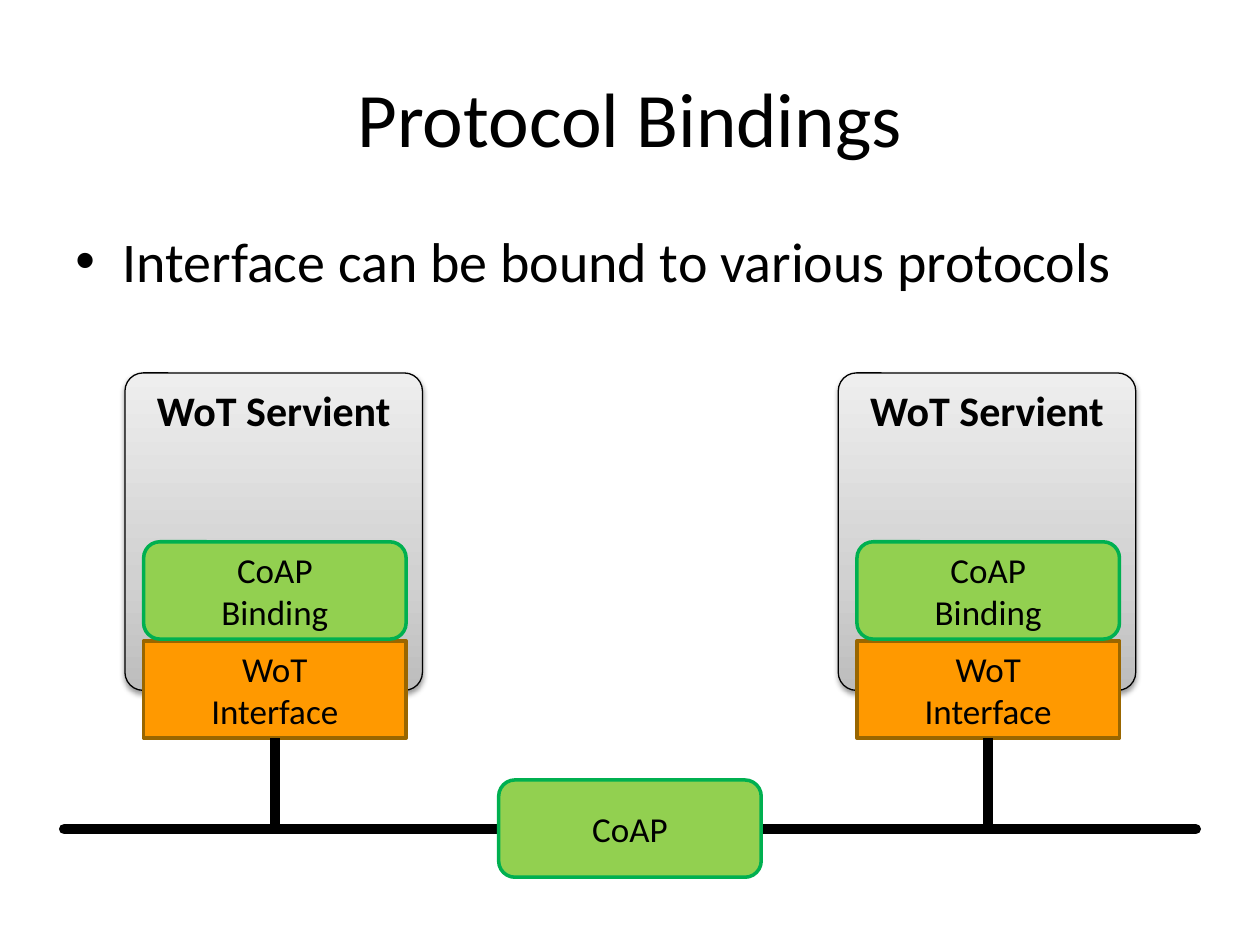
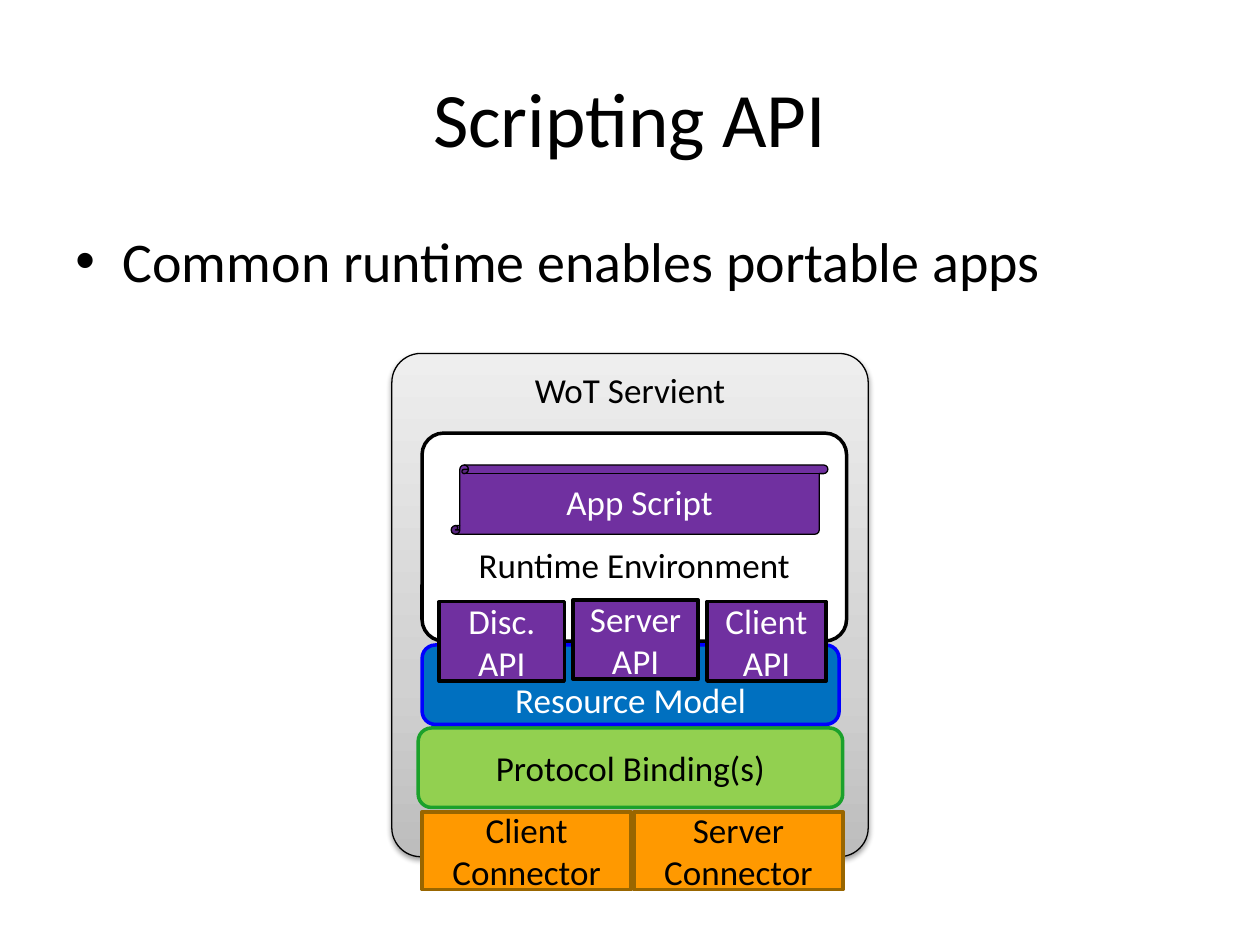
import pptx
import pptx.dml.color
import pptx.enum.shapes
import pptx.enum.text
import pptx.oxml
import pptx.oxml.ns
import pptx.util

Pt = pptx.util.Pt
SHAPE = pptx.enum.shapes.MSO_SHAPE
ANCHOR = pptx.enum.text.MSO_ANCHOR
ALIGN = pptx.enum.text.PP_ALIGN
NAMESPACE = pptx.oxml.ns.nsdecls("a")

FONT = "Calibri"
BLACK, WHITE = "000000", "FFFFFF"
ORANGE, BROWN = "FF9900", "996600"
LIME, GREEN, DARK_GREEN = "92D050", "00B050", "1BA12B"
PURPLE, BLUE, BRIGHT_BLUE = "7030A0", "0070C0", "0000FF"
SERVIENT_STOPS = [(0, "BDBDBD"), (35, "D1D1D1"), (100, "EEEEEE")]


def color(value):
    return pptx.dml.color.RGBColor.from_string(value)


class SlideBuilder:
    """Holds the deck, the current page and the style its elements share."""

    def __init__(self):
        self.deck = pptx.Presentation()
        self.deck.slide_width, self.deck.slide_height = Pt(720), Pt(540)

    def new_page(self, title, bullet):
        self.page = self.deck.slides.add_slide(self.deck.slide_layouts[6])
        self.shapes = self.page.shapes
        title_box = self.shapes.add_textbox(Pt(36), Pt(21.6), Pt(648), Pt(90))
        self.set_text(title_box, title, size=44)
        body_box = self.shapes.add_textbox(Pt(36), Pt(126), Pt(648), Pt(356.4))
        properties = body_box.text_frame.paragraphs[0]._p.get_or_add_pPr()
        properties.set("marL", str(Pt(27)))
        properties.set("indent", str(-Pt(27)))
        for xml in (f'<a:buFont {NAMESPACE} typeface="Arial"/>',
                    f'<a:buChar {NAMESPACE} char="•"/>'):
            properties.append(pptx.oxml.parse_xml(xml))
        self.set_text(body_box, bullet, size=32, anchor=ANCHOR.TOP, align=ALIGN.LEFT)

    def start_group(self):
        self.shapes = self.page.shapes.add_group_shape().shapes

    def set_text(self, box, text, size=20, ink=BLACK, bold=False,
                 anchor=ANCHOR.MIDDLE, align=ALIGN.CENTER, wrap=True):
        frame = box.text_frame
        frame.word_wrap = wrap
        frame.vertical_anchor = anchor
        para = frame.paragraphs[0]
        para.text = text
        para.alignment = align
        for span in para.runs:
            span.font.name = FONT
            span.font.size = Pt(size)
            span.font.bold = bold
            span.font.color.rgb = color(ink)

    def block(self, text, left, top, width, height, fill, line, line_width=2,
              preset=SHAPE.RECTANGLE, rounding=None, bottom_inset=3.6, **text_style):
        box = self.shapes.add_shape(preset, Pt(left), Pt(top), Pt(width), Pt(height))
        box.shadow.inherit = False
        if rounding is not None:
            box.adjustments[0] = rounding
        box.fill.solid()
        box.fill.fore_color.rgb = color(fill)
        box.line.color.rgb = color(line)
        box.line.width = Pt(line_width)
        box.text_frame.margin_bottom = Pt(bottom_inset)
        self.set_text(box, text, **text_style)
        return box

    def rounded(self, *args, **style):
        return self.block(*args, preset=SHAPE.ROUNDED_RECTANGLE, **style)

    def servient(self, left, top, width, height, **text_style):
        """Grey device frame with a gradient that lightens upwards and a soft shadow."""
        box = self.rounded("WoT Servient", left, top, width, height, WHITE, BLACK,
                           line_width=0.75, rounding=0.061, anchor=ANCHOR.TOP,
                           wrap=False, **text_style)
        properties = box._element.spPr
        stops = "".join(f'<a:gs pos="{place * 1000}"><a:srgbClr val="{value}"/></a:gs>'
                        for place, value in SERVIENT_STOPS)
        gradient = pptx.oxml.parse_xml(
            f'<a:gradFill {NAMESPACE} rotWithShape="1"><a:gsLst>{stops}</a:gsLst>'
            '<a:lin ang="16200000" scaled="0"/></a:gradFill>')
        properties.replace(properties.find(pptx.oxml.ns.qn("a:solidFill")), gradient)
        shadow = pptx.oxml.parse_xml(
            f'<a:outerShdw {NAMESPACE} blurRad="{Pt(3.1)}" dist="{Pt(1.6)}" '
            'dir="5400000" rotWithShape="0"><a:srgbClr val="000000">'
            '<a:alpha val="38000"/></a:srgbClr></a:outerShdw>')
        properties.find(pptx.oxml.ns.qn("a:effectLst")).append(shadow)

    def wire(self, start_x, start_y, end_x, end_y, cap="flat"):
        line = self.shapes.add_connector(
            pptx.enum.shapes.MSO_CONNECTOR.STRAIGHT,
            Pt(start_x), Pt(start_y), Pt(end_x), Pt(end_y))
        line.line.color.rgb = color(BLACK)
        line.line.width = Pt(6)
        line.line._get_or_add_ln().set("cap", cap)
        line._element.spPr.append(pptx.oxml.parse_xml(f"<a:effectLst {NAMESPACE}/>"))
        return line


def build_protocol_bindings(slides):
    slides.new_page("Protocol Bindings", "Interface can be bound to various protocols")
    bus_y = 473.8
    part_width, part_height = 150, 55.6
    slides.wire(36.7, bus_y, 683.3, bus_y, cap="rnd")
    slides.rounded("CoAP", 285, 445.7, part_width, part_height, LIME, GREEN)
    for left in (71.4, 479):
        slides.servient(left, 213.1, 170, 181.4, size=24, bold=True)
        part_left = left + 10.7
        interface = slides.block("WoT\vInterface", part_left, 366.2,
                                 part_width, part_height, ORANGE, BROWN)
        slides.rounded("CoAP\vBinding", part_left, 309.6,
                       part_width, part_height, LIME, GREEN)
        middle = part_left + part_width / 2
        drop = slides.wire(middle, bus_y, middle, 421.8)
        drop.end_connect(interface, 2)


def build_scripting_api(slides):
    slides.new_page("Scripting API", "Common runtime enables portable apps")
    slides.start_group()
    slides.servient(223.9, 202, 272.2, 287.6)
    slides.rounded("Runtime Environment", 241.2, 247.5, 242.6, 118.8, WHITE, BLACK,
                   rounding=0.104, anchor=ANCHOR.BOTTOM, bottom_inset=28)
    slides.block("App Script", 257.8, 265.7, 215.3, 39.6, PURPLE, BLACK, line_width=0.75,
                 preset=SHAPE.VERTICAL_SCROLL, ink=WHITE, wrap=False)
    for index, role in enumerate(("Client", "Server")):
        slides.block(f"{role}\vConnector", 241.2 + 121 * index, 464, 119.5, 44.4,
                     ORANGE, BROWN)
    slides.rounded("Protocol Binding(s)", 239, 416, 242.6, 45.4, LIME, DARK_GREEN)
    slides.rounded("Resource Model", 241.2, 368.6, 238.3, 45.4, BLUE, BRIGHT_BLUE,
                   ink=WHITE, anchor=ANCHOR.BOTTOM, bottom_inset=0)
    for name, left, top, width in (("Disc.", 251, 343.8, 71.5),
                                   ("Server", 327.5, 342.8, 71.5),
                                   ("Client", 404, 343.8, 68)):
        slides.block(f"{name}\vAPI", left, top, width, 45.4, PURPLE, BLACK, ink=WHITE)


def main():
    slides = SlideBuilder()
    build_protocol_bindings(slides)
    build_scripting_api(slides)
    slides.deck.save("out.pptx")


if __name__ == "__main__":
    main()
